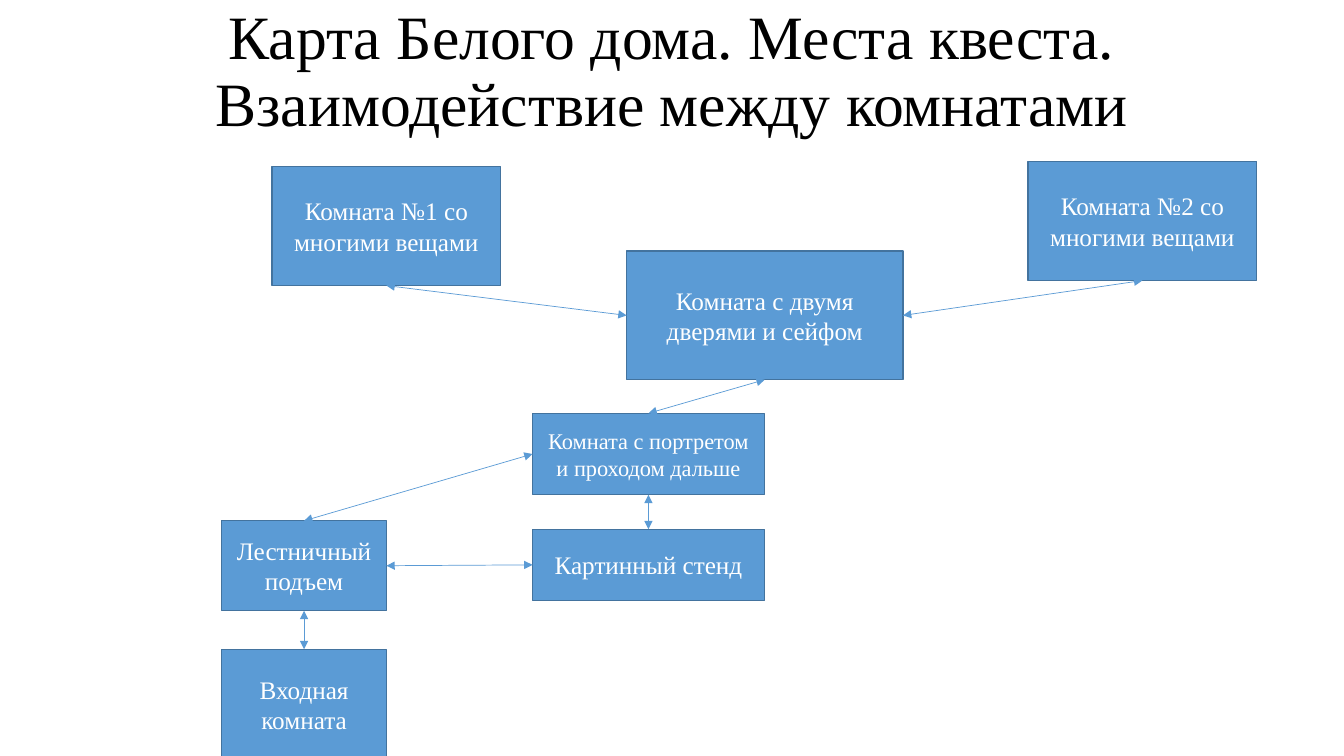
from lxml.etree import SubElement
from pptx import Presentation
from pptx.dml.color import RGBColor
from pptx.enum.shapes import MSO_CONNECTOR, MSO_SHAPE
from pptx.enum.text import MSO_ANCHOR, PP_ALIGN
from pptx.oxml.ns import qn
from pptx.util import Inches, Pt

BLACK = RGBColor(0x00, 0x00, 0x00)
WHITE = RGBColor(0xFF, 0xFF, 0xFF)
ROOM_FILL = RGBColor(0x5B, 0x9B, 0xD5)
ROOM_EDGE = RGBColor(0x43, 0x73, 0x9E)
FONT = "Times New Roman"

# The slide is a grid of 160 columns by 90 rows of square cells
COLUMNS, ROWS = 160, 90
SLIDE_WIDTH, SLIDE_HEIGHT = Inches(13.33), Inches(7.5)

# Connection sites of a rectangle
TOP, LEFT, BOTTOM, RIGHT = range(4)

# Room: text, (column, row, columns, rows) within the map, text size
ROOMS = {
    "entrance": ("Входная комната", (26.4, 59.3, 19.6, 13.2), 18),
    "stairs": ("Лестничный подъем", (26.4, 44, 19.6, 10.7), 18),
    "stand": ("Картинный стенд", (63.4, 45, 27.6, 8.5), 18),
    "portrait": ("Комната с портретом и проходом дальше",
                 (63.4, 31.2, 27.6, 9.7), 16),
    "safe": ("Комната с двумя дверями и сейфом", (74.6, 11.9, 32.9, 15.3), 18),
    "first": ("Комната №1 со многими вещами", (32.4, 1.8, 27.2, 14.2), 18),
    "second": ("Комната №2 со многими вещами", (122.4, 1.2, 27.2, 14.2), 18),
}
PASSAGES = [
    ("stairs", TOP, "portrait", LEFT),
    ("stairs", BOTTOM, "entrance", TOP),
    ("stairs", RIGHT, "stand", LEFT),
    ("portrait", BOTTOM, "stand", TOP),
    ("portrait", TOP, "safe", BOTTOM),
    ("first", BOTTOM, "safe", LEFT),
    ("safe", RIGHT, "second", BOTTOM),
]


def to_emu(box):
    column, row, columns, rows = box
    return (int(column * SLIDE_WIDTH / COLUMNS), int(row * SLIDE_HEIGHT / ROWS),
            int(columns * SLIDE_WIDTH / COLUMNS), int(rows * SLIDE_HEIGHT / ROWS))


def write_text(holder, text, *, size, color, spacing=1.0):
    frame = holder.text_frame
    frame.word_wrap = True
    frame.vertical_anchor = MSO_ANCHOR.MIDDLE
    paragraph = frame.paragraphs[0]
    paragraph.alignment = PP_ALIGN.CENTER
    paragraph.line_spacing = spacing
    run = paragraph.add_run()
    run.text = text
    run.font.name = FONT
    run.font.size = Pt(size)
    run.font.color.rgb = color


def add_title(slide, box):
    title = slide.shapes.add_textbox(*to_emu(box))
    write_text(title, "Карта Белого дома. Места квеста. "
               "Взаимодействие между комнатами", size=44, color=BLACK, spacing=0.9)


def add_room(slide, box, text, size):
    room = slide.shapes.add_shape(MSO_SHAPE.RECTANGLE, *to_emu(box))
    room.shadow.inherit = False
    room.fill.solid()
    room.fill.fore_color.rgb = ROOM_FILL
    room.line.color.rgb = ROOM_EDGE
    room.line.width = Pt(1)
    write_text(room, text, size=size, color=WHITE)
    return room


def add_passage(slide, start, start_site, end, end_site):
    passage = slide.shapes.add_connector(MSO_CONNECTOR.STRAIGHT, 0, 0, 0, 0)
    passage.begin_connect(start, start_site)
    passage.end_connect(end, end_site)
    passage.line.color.rgb = ROOM_FILL
    passage.line.width = Pt(0.5)
    # Arrowheads at both ends, no shadow
    outline = passage.line._get_or_add_ln()
    for tip in ("a:headEnd", "a:tailEnd"):
        SubElement(outline, qn(tip), type="triangle")
    SubElement(passage._element.spPr, qn("a:effectLst"))


def add_map(slide, box):
    map_column, map_row = box[:2]
    rooms = {}
    for key, (text, (column, row, columns, rows), size) in ROOMS.items():
        room_box = (map_column + column, map_row + row, columns, rows)
        rooms[key] = add_room(slide, room_box, text, size)
    for start, start_site, end, end_site in PASSAGES:
        add_passage(slide, rooms[start], start_site, rooms[end], end_site)


deck = Presentation()
deck.slide_width, deck.slide_height = SLIDE_WIDTH, SLIDE_HEIGHT
quest_slide = deck.slides.add_slide(deck.slide_layouts[6])
add_title(quest_slide, (0, 0, COLUMNS, 17.4))
add_map(quest_slide, (0, 18, COLUMNS, 72))
deck.save("out.pptx")
